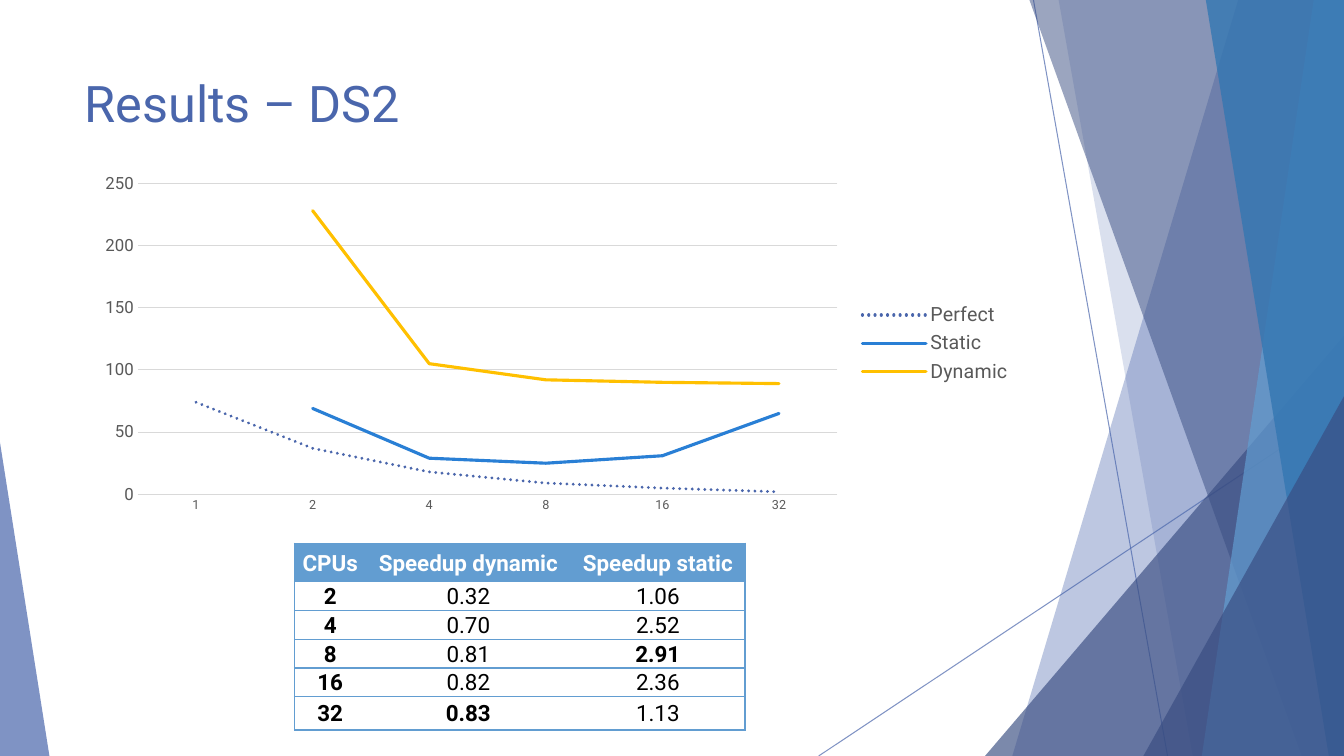
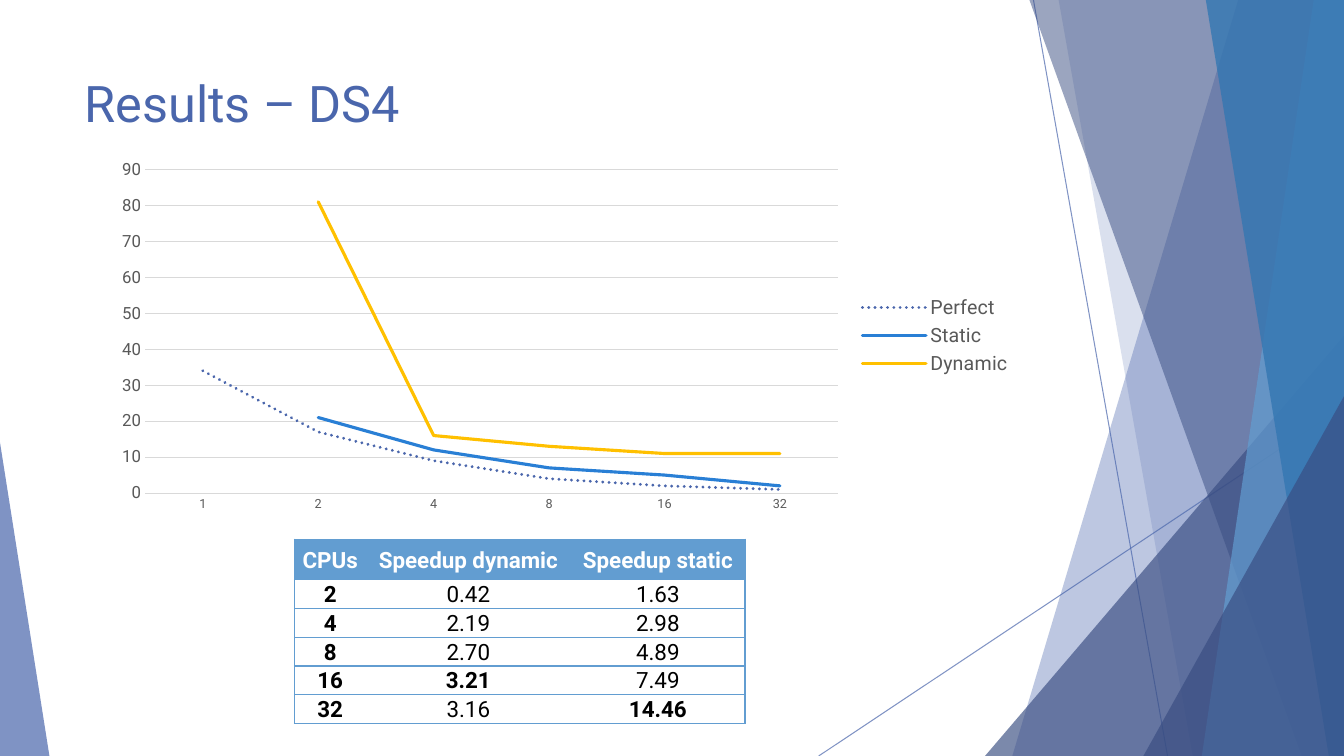
import lxml.etree
import pptx
import pptx.chart.data
import pptx.dml.color
import pptx.enum.chart
import pptx.enum.dml
import pptx.enum.shapes
import pptx.enum.text
import pptx.oxml.ns
import pptx.util

Inches = pptx.util.Inches
Pt = pptx.util.Pt
RGBColor = pptx.dml.color.RGBColor
qn = pptx.oxml.ns.qn

INDIGO = RGBColor(0x4A, 0x66, 0xAC)
NAVY = RGBColor(0x38, 0x4C, 0x81)
SKY = RGBColor(0x62, 0x9D, 0xD1)
STEEL = RGBColor(0x34, 0x77, 0xB2)
AZURE = RGBColor(0x29, 0x7F, 0xD5)
GOLD = RGBColor(0xFF, 0xC0, 0x00)
GRAY = RGBColor(0x59, 0x59, 0x59)
LIGHT_GRAY = RGBColor(0xD9, 0xD9, 0xD9)
WHITE = RGBColor(0xFF, 0xFF, 0xFF)
BLACK = RGBColor(0x00, 0x00, 0x00)

FONT = "Roboto"
WIDTH = 13.33
HEIGHT = 7.5
CPU_COUNTS = ["1", "2", "4", "8", "16", "32"]
SERIES_COLORS = {"Perfect": INDIGO, "Static": AZURE, "Dynamic": GOLD}
TABLE_HEADER = ["CPUs", "Speedup dynamic", "Speedup static"]
COLUMN_WIDTHS = [0.71, 2.03, 1.73]


class Deck:
    def __init__(self):
        self.presentation = pptx.Presentation()
        self.presentation.slide_width = Inches(WIDTH)
        self.presentation.slide_height = Inches(HEIGHT)
        self.slide = None

    def add_slide(self, title):
        layout = self.presentation.slide_layouts[6]
        self.slide = self.presentation.slides.add_slide(layout)
        self.decorate()
        self.title(title)

    def decorate(self):
        self.line(10.25, 0, 11.58, HEIGHT)
        self.line(WIDTH, 4.03, 8.12, HEIGHT)
        self.band(12.28, 10.04, INDIGO, 36)
        self.band(10.5, 11.83, INDIGO, 20)
        self.triangle(9.77, 3.33, 3.56, 1, NAVY, 66)
        self.band(10.21, 12.91, NAVY, 50)
        self.band(13.03, 11.92, SKY, 70)
        self.band(11.96, 13.18, STEEL, 80)
        self.triangle(11.34, 3.93, 1.99, 1, NAVY, 66)
        self.triangle(0, 4.39, 0.49, 0, INDIGO, 70)

    def set_alpha(self, element, percent):
        for color in element.iter(qn("a:srgbClr")):
            alpha = lxml.etree.SubElement(color, qn("a:alpha"))
            alpha.set("val", str(percent * 1000))

    def style_shape(self, shape, color, percent):
        shape.shadow.inherit = False
        shape.fill.solid()
        shape.fill.fore_color.rgb = color
        shape.line.fill.background()
        self.set_alpha(shape.element.spPr, percent)

    def line(self, begin_x, begin_y, end_x, end_y):
        connector = self.slide.shapes.add_connector(
            pptx.enum.shapes.MSO_CONNECTOR.STRAIGHT,
            Inches(begin_x), Inches(begin_y), Inches(end_x), Inches(end_y))
        connector.line.color.rgb = INDIGO
        connector.line.width = Pt(0.75)
        properties = connector.element.spPr
        self.set_alpha(properties, 70)
        lxml.etree.SubElement(properties, qn("a:effectLst"))

    def band(self, top_left, bottom_left, color, percent):
        builder = self.slide.shapes.build_freeform(Inches(top_left), 0)
        corners = [(WIDTH, 0), (WIDTH, HEIGHT), (bottom_left, HEIGHT)]
        builder.add_line_segments([(Inches(x), Inches(y)) for x, y in corners])
        self.style_shape(builder.convert_to_shape(), color, percent)

    def triangle(self, left, top, width, apex, color, percent):
        shape = self.slide.shapes.add_shape(
            pptx.enum.shapes.MSO_SHAPE.ISOSCELES_TRIANGLE,
            Inches(left), Inches(top), Inches(width), Inches(HEIGHT - top))
        shape.adjustments[0] = apex
        self.style_shape(shape, color, percent)

    def set_font(self, font, size, color, bold=False):
        font.name = FONT
        font.size = Pt(size)
        font.color.rgb = color
        font.bold = bold

    def title(self, text):
        box = self.slide.shapes.add_textbox(
            Inches(0.74), Inches(0.67), Inches(9.4), Inches(1.44))
        box.text_frame.word_wrap = True
        paragraph = box.text_frame.paragraphs[0]
        paragraph.text = text
        self.set_font(paragraph.font, 36, INDIGO)

    def chart(self, left, top, width, height, series_values, maximum, step):
        data = pptx.chart.data.CategoryChartData()
        data.categories = CPU_COUNTS
        for name, values in zip(SERIES_COLORS, series_values):
            data.add_series(name, values)
        chart = self.slide.shapes.add_chart(
            pptx.enum.chart.XL_CHART_TYPE.LINE, Inches(left), Inches(top),
            Inches(width), Inches(height), data).chart
        self.set_font(chart.font, 10, BLACK)
        chart.has_title = False
        chart.has_legend = True
        chart.legend.position = pptx.enum.chart.XL_LEGEND_POSITION.RIGHT
        chart.legend.include_in_layout = False
        self.set_font(chart.legend.font, 14, GRAY)
        for axis, size in ((chart.category_axis, 9), (chart.value_axis, 12)):
            axis.major_tick_mark = pptx.enum.chart.XL_TICK_MARK.NONE
            axis.minor_tick_mark = pptx.enum.chart.XL_TICK_MARK.NONE
            self.set_font(axis.tick_labels.font, size, GRAY)
        axis = chart.value_axis
        axis.minimum_scale = 0
        axis.maximum_scale = maximum
        axis.major_unit = step
        axis.format.line.fill.background()
        for line in (chart.category_axis.format.line,
                     axis.major_gridlines.format.line):
            line.color.rgb = LIGHT_GRAY
            line.width = Pt(0.75)
        chart.plots[0].vary_by_categories = False
        for series in chart.plots[0].series:
            series.smooth = False
            series.marker.style = pptx.enum.chart.XL_MARKER_STYLE.NONE
            line = series.format.line
            line.color.rgb = SERIES_COLORS[series.name]
            line.width = Pt(2.25)
            if series.name == "Perfect":
                line.dash_style = pptx.enum.dml.MSO_LINE.ROUND_DOT
            for outline in series._element.xpath("c:spPr/a:ln"):
                outline.set("cap", "rnd")

    def table(self, top, row_heights, speedups):
        rows = [TABLE_HEADER]
        rows += [[cpus, *pair] for cpus, pair in zip(CPU_COUNTS[1:], speedups)]
        best = [max(column, key=float) for column in zip(*speedups)]
        table = self.slide.shapes.add_table(
            len(rows), len(TABLE_HEADER), Inches(2.92), Inches(top),
            Inches(sum(COLUMN_WIDTHS)), Inches(sum(row_heights))).table
        table.first_row = False
        table.horz_banding = False
        for column, width in zip(table.columns, COLUMN_WIDTHS):
            column.width = Inches(width)
        for row, height in zip(table.rows, row_heights):
            row.height = Inches(height)
        for row_index, row in enumerate(rows):
            for column_index, text in enumerate(row):
                header = row_index == 0
                bold = (header or column_index == 0
                        or text == best[column_index - 1])
                self.cell(table.cell(row_index, column_index), text, header,
                          bold, column_index == 0,
                          column_index == len(row) - 1)

    def cell(self, cell, text, header, bold, first, last):
        cell.margin_left = cell.margin_right = Inches(0.07)
        cell.margin_top = cell.margin_bottom = 0
        cell.vertical_anchor = pptx.enum.text.MSO_ANCHOR.MIDDLE
        paragraph = cell.text_frame.paragraphs[0]
        paragraph.text = text
        paragraph.alignment = pptx.enum.text.PP_ALIGN.CENTER
        paragraph.line_spacing = 1.07
        self.set_font(paragraph.font, 16, WHITE if header else BLACK, bold)
        if header:
            cell.fill.solid()
            cell.fill.fore_color.rgb = SKY
        else:
            cell.fill.background()
        properties = cell._tc.get_or_add_tcPr()
        edges = {"lnL": first, "lnR": last, "lnT": True, "lnB": True}
        for position, (edge, visible) in enumerate(edges.items()):
            border = lxml.etree.Element(qn("a:" + edge), w=str(Pt(1)))
            if visible:
                fill = lxml.etree.SubElement(border, qn("a:solidFill"))
                lxml.etree.SubElement(fill, qn("a:srgbClr"), val=str(SKY))
            else:
                lxml.etree.SubElement(border, qn("a:noFill"))
            properties.insert(position, border)


def main():
    deck = Deck()

    deck.add_slide("Results – DS2")
    deck.chart(0.86, 1.65, 9.28, 3.51, [
        [74, 37, 18, 9, 5, 2],
        [None, 69, 29, 25, 31, 65],
        [None, 228, 105, 92, 90, 89],
    ], 250, 50)
    deck.table(5.39, [0.38] + [0.28] * 4 + [0.33], [
        ("0.32", "1.06"), ("0.70", "2.52"), ("0.81", "2.91"),
        ("0.82", "2.36"), ("0.83", "1.13"),
    ])

    deck.add_slide("Results – DS4")
    deck.chart(1.03, 1.51, 9.11, 3.64, [
        [34, 17, 9, 4, 2, 1],
        [None, 21, 12, 7, 5, 2],
        [None, 81, 16, 13, 11, 11],
    ], 90, 10)
    deck.table(5.35, [0.4] + [0.28] * 5, [
        ("0.42", "1.63"), ("2.19", "2.98"), ("2.70", "4.89"),
        ("3.21", "7.49"), ("3.16", "14.46"),
    ])

    deck.presentation.save("out.pptx")


if __name__ == "__main__":
    main()
